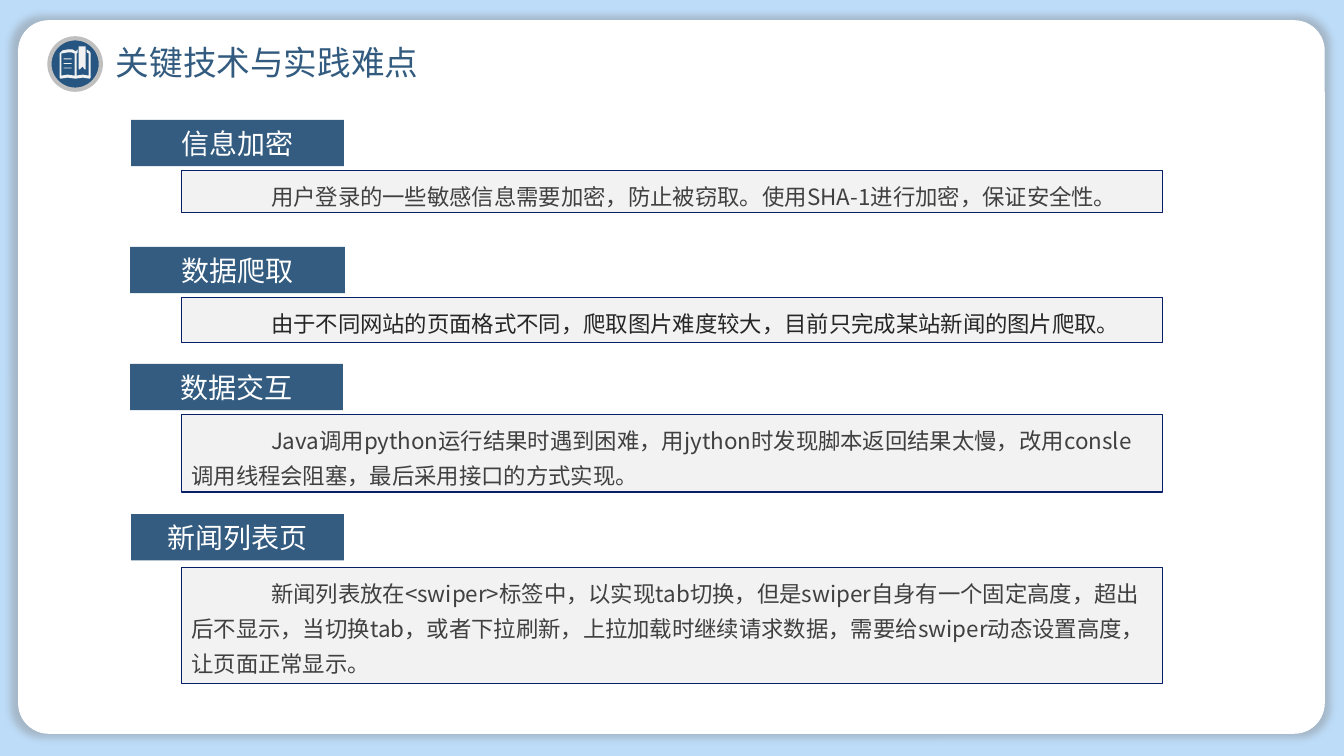
from lxml import etree
from pptx import Presentation
from pptx.dml.color import RGBColor
from pptx.enum.shapes import MSO_SHAPE
from pptx.enum.text import MSO_ANCHOR, MSO_AUTO_SIZE, PP_ALIGN
from pptx.oxml.ns import qn
from pptx.util import Inches, Pt

RECT, ROUND, OVAL = MSO_SHAPE.RECTANGLE, MSO_SHAPE.ROUNDED_RECTANGLE, MSO_SHAPE.OVAL
TOP, MIDDLE = MSO_ANCHOR.TOP, MSO_ANCHOR.MIDDLE
LEFT, CENTER = PP_ALIGN.LEFT, PP_ALIGN.CENTER
GROW, FIXED = MSO_AUTO_SIZE.SHAPE_TO_FIT_TEXT, MSO_AUTO_SIZE.NONE
FONT_TITLE, FONT_BODY = "Noto Sans CJK JP", "Noto Sans CJK SC"
COLORS = {
    "sky": "BDDCF8", "white": "FFFFFF", "title": "325B7F", "badge": "255580",
    "ring": "BFBFBF", "pale": "F2F2F2", "label": "335C80", "border": "071F65",
    "text": "404040", "dark": "262626", "shadow": "808080",
}
SECTIONS = [
    ("信息加密", (1.3, 1.19, 2.11), (1.69, 0.42), "text",
     "用户登录的一些敏感信息需要加密，防止被窃取。使用SHA-1进行加密，保证安全性。"),
    ("数据爬取", (1.29, 2.45, 2.13), (2.95, 0.45), "dark",
     "由于不同网站的页面格式不同，爬取图片难度较大，目前只完成某站新闻的图片爬取。"),
    ("数据交互", (1.29, 3.61, 2.11), (4.11, 0.77), "text",
     "Java调用python运行结果时遇到困难，用jython时发现脚本返回结果太慢，"
     "改用consle调用线程会阻塞，最后采用接口的方式实现。"),
    ("新闻列表页", (1.3, 5.1, 2.11), (5.63, 1.15), "text",
     "新闻列表放在<swiper>标签中，以实现tab切换，但是swiper自身有一个固定高度，"
     "超出后不显示，当切换tab，或者下拉刷新，上拉加载时继续请求数据，"
     "需要给swiper动态设置高度，让页面正常显示。"),
]
BOOK = [
    [(0.86, 0.49), (0.86, 0.52), (0.88, 0.53), (0.88, 0.75), (0.82, 0.74),
     (0.76, 0.75), (0.76, 0.53), (0.77, 0.52), (0.77, 0.49), (0.75, 0.51),
     (0.72, 0.49), (0.67, 0.49), (0.62, 0.5), (0.59, 0.53), (0.59, 0.77),
     (0.6, 0.78), (0.67, 0.77), (0.75, 0.78), (0.82, 0.77), (0.89, 0.78),
     (0.9, 0.77), (0.9, 0.53), (0.89, 0.51)],
    [(0.74, 0.75), (0.74, 0.53), (0.71, 0.52), (0.67, 0.52), (0.61, 0.53),
     (0.61, 0.75), (0.67, 0.74)],
]
BOOKMARK = [[(0.78, 0.46), (0.85, 0.46), (0.85, 0.69), (0.84, 0.69),
             (0.82, 0.66), (0.79, 0.69), (0.78, 0.69)]]


def rgb(name):
    """Return a named colour."""
    return RGBColor.from_string(COLORS[name])


def paint(sp, fill, line=None, width=1):
    """Set fill and outline and drop the default shadow."""
    sp.shadow.inherit = False
    sp.fill.solid()
    sp.fill.fore_color.rgb = rgb(fill)
    if line:
        sp.line.color.rgb = rgb(line)
        sp.line.width = Pt(width)
    else:
        sp.line.fill.background()


def add_box(s, kind, at, fill, line=None, width=1):
    """Add a preset shape."""
    sp = s.shapes.add_shape(kind, *map(Inches, at))
    paint(sp, fill, line, width)
    return sp


def add_outline(s, contours, fill):
    """Add a freeform made of closed contours."""
    points = [[(Inches(x), Inches(y)) for x, y in c] for c in contours]
    fb = s.shapes.build_freeform(*points[0][0], scale=1.0)
    fb.add_line_segments(points[0][1:], close=True)
    for contour in points[1:]:
        fb.move_to(*contour[0])
        fb.add_line_segments(contour[1:], close=True)
    paint(fb.convert_to_shape(), fill)


def set_text(sp, text, size, color, font=FONT_BODY, align=LEFT, anchor=TOP,
             fit=FIXED, indent=0, spacing=1.0, margins=(0.1, 0.05)):
    """Write one formatted paragraph into a shape."""
    tf = sp.text_frame
    tf.word_wrap = True
    tf.auto_size = fit
    tf.vertical_anchor = anchor
    tf.margin_left = tf.margin_right = Inches(margins[0])
    tf.margin_top = tf.margin_bottom = Inches(margins[1])
    p = tf.paragraphs[0]
    p.alignment = align
    p.line_spacing = spacing
    if indent:
        p_pr = p._p.get_or_add_pPr()
        p_pr.set("marL", "0")
        p_pr.set("indent", str(Inches(indent)))
    r = p.add_run()
    r.text = text
    r.font.size = Pt(size)
    r.font.name = font
    r.font.color.rgb = rgb(color)
    etree.SubElement(r._r.get_or_add_rPr(), qn("a:ea"), typeface=font)


def add_glow(sp):
    """Give a shape a soft shadow on all sides."""
    effects = sp._element.spPr.find(qn("a:effectLst"))
    shadow = etree.SubElement(effects, qn("a:outerShdw"), blurRad=str(Pt(5)), dist="0",
                              sx="101000", sy="101000", algn="ctr", rotWithShape="0")
    color = etree.SubElement(shadow, qn("a:srgbClr"), val=COLORS["shadow"])
    etree.SubElement(color, qn("a:alpha"), val="40000")


def add_backdrop(s):
    """Add the sky frame and the white panel."""
    add_box(s, RECT, (0, 0, 13.33, 7.5), "sky")
    panel = add_box(s, ROUND, (0.18, 0.2, 12.96, 7.08), "white")
    panel.adjustments[0] = 0.043
    add_glow(panel)


def add_header(s):
    """Add the title and the book badge."""
    title = s.shapes.add_textbox(*map(Inches, (1.02, 0.35, 4.45, 0.54)))
    set_text(title, "关键技术与实践难点", 24, "title", font=FONT_TITLE,
             fit=GROW, margins=(0.13, 0.07))
    add_box(s, OVAL, (0.49, 0.38, 0.51, 0.51), "badge", "ring", 3)
    add_outline(s, BOOKMARK, "pale")
    for i in range(3):
        add_box(s, RECT, (0.63, 0.58 + 0.045 * i, 0.08, 0.01), "pale")
    add_outline(s, BOOK, "pale")


def add_section(s, label, label_at, body_at, color, text):
    """Add a label and the framed text under it."""
    top, height = body_at
    body = add_box(s, RECT, (1.8, top, 9.73, height), "pale", "border")
    set_text(body, text, 16, color, fit=GROW, indent=0.79, spacing=1.3)
    tag = add_box(s, RECT, (*label_at, 0.46), "label")
    set_text(tag, label, 20, "white", align=CENTER, anchor=MIDDLE)


def main():
    """Build and save the slide."""
    prs = Presentation()
    prs.slide_width, prs.slide_height = Inches(13.33), Inches(7.5)
    s = prs.slides.add_slide(prs.slide_layouts[6])
    add_backdrop(s)
    add_header(s)
    for section in SECTIONS:
        add_section(s, *section)
    prs.save("out.pptx")


if __name__ == "__main__":
    main()
